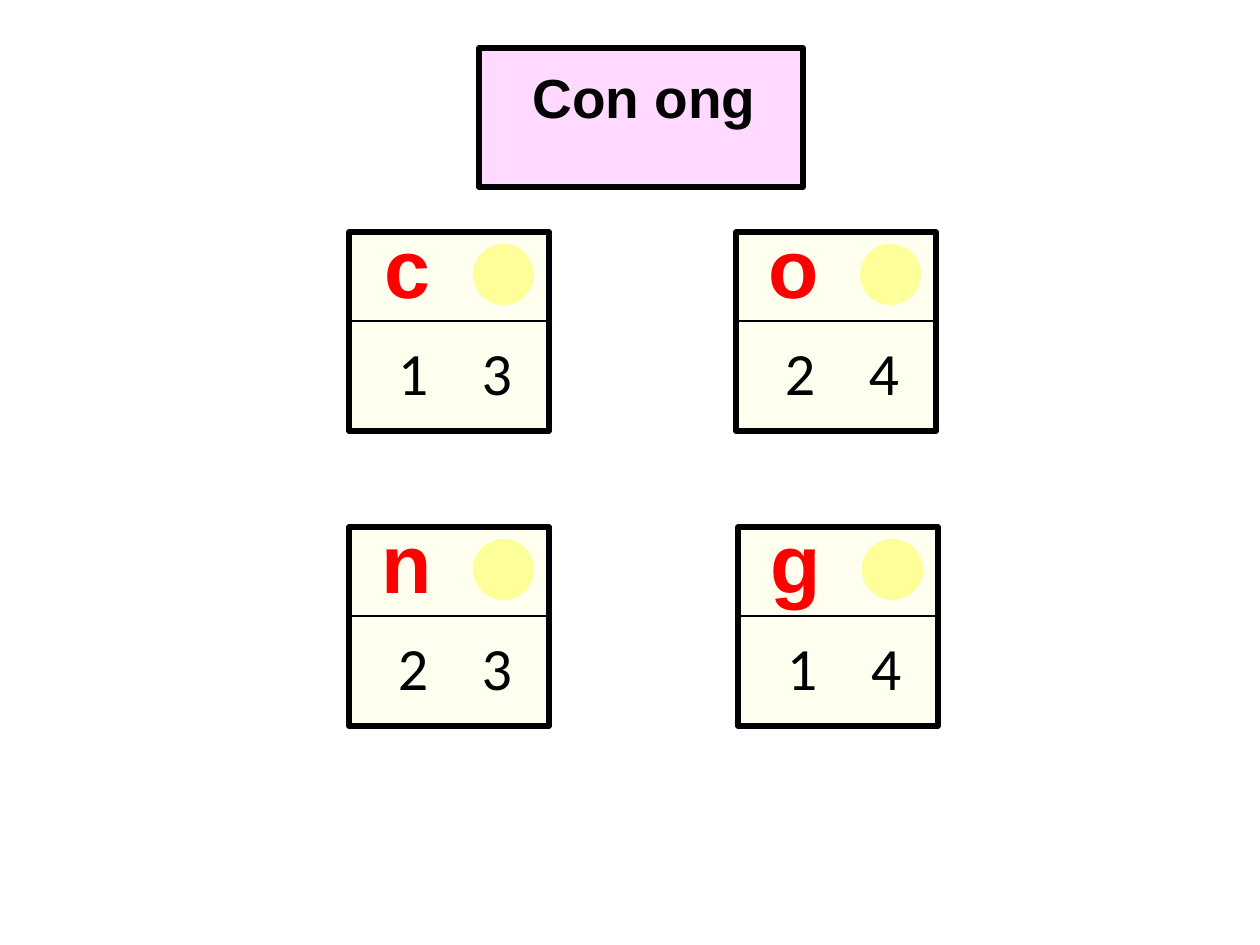
from lxml import etree
from pptx import Presentation
from pptx import util as u
from pptx.dml.color import RGBColor
from pptx.enum import shapes, text
from pptx.oxml.ns import qn

PX = 914400 // 90  # EMU per pixel

BLACK = RGBColor(0x00, 0x00, 0x00)
RED = RGBColor(0xFF, 0x00, 0x00)
PINK = RGBColor(0xFF, 0xD9, 0xFF)
CREAM = RGBColor(0xFE, 0xFF, 0xEF)
YELLOW = RGBColor(0xFF, 0xFF, 0x99)

RECT = shapes.MSO_SHAPE.RECTANGLE
OVAL = shapes.MSO_SHAPE.OVAL


class Board:
    """Draws the elements of the word game on one slide."""

    def __init__(self, slide):
        self.s = slide

    def shape(self, kind, x, y, w, h, fill, border=None):
        sp = self.s.shapes.add_shape(kind, x * PX, y * PX, w * PX, h * PX)
        sp.shadow.inherit = False
        sp.fill.solid()
        sp.fill.fore_color.rgb = fill
        if border:
            sp.line.color.rgb = BLACK
            sp.line.width = u.Pt(border)
        else:
            sp.line.fill.background()
        return sp

    def line(self, x1, x2, y):
        sp = self.s.shapes.add_connector(
            shapes.MSO_CONNECTOR.STRAIGHT, x1 * PX, y * PX, x2 * PX, y * PX)
        sp.line.color.rgb = BLACK
        sp.line.width = u.Pt(2.25)
        etree.SubElement(sp._element.spPr, qn("a:effectLst"))

    def set_text(self, sp, words, size, font, color, bold):
        tf = sp.text_frame
        tf.word_wrap = True
        tf.vertical_anchor = text.MSO_ANCHOR.TOP
        p = tf.paragraphs[0]
        p.text = words
        p.alignment = text.PP_ALIGN.CENTER
        p.font.size = u.Pt(size)
        p.font.name = font
        p.font.bold = bold
        p.font.color.rgb = color

    def label(self, x, y, w, h, words, size, font, color=BLACK, bold=False):
        sp = self.s.shapes.add_textbox(x * PX, y * PX, w * PX, h * PX)
        self.set_text(sp, words, size, font, color, bold)

    def title(self, words):
        self.shape(RECT, 479, 48, 324, 139, PINK, 4.5)
        sp = self.shape(RECT, 496, 59, 296, 76, PINK)
        self.set_text(sp, words, 44, "Arial", BLACK, True)

    def card(self, x, y, letter, digits):
        self.shape(RECT, x, y, 200, 199, CREAM, 4.5)
        self.line(x - 2, x + 203, y + 89)
        self.shape(OVAL, x + 124, y + 12, 61, 61, YELLOW)
        for i, digit in enumerate(digits):
            self.label(x + 32 + 84 * i, y + 99, 64, 82, digit, 48, "Calibri")
        self.label(x + 20, y - 20, 76, 109, letter, 66, "Arial", RED, True)


def main():
    prs = Presentation()
    prs.slide_width, prs.slide_height = u.Inches(14), u.Inches(10.5)
    board = Board(prs.slides.add_slide(prs.slide_layouts[6]))

    # Word to spell
    board.title("Con ong")

    # Letter cards with their digits
    for x, y, letter, digits in [
        (349, 232, "c", "13"),
        (736, 232, "o", "24"),
        (738, 527, "g", "14"),
        (349, 527, "n", "23"),
    ]:
        board.card(x, y, letter, digits)

    prs.save("out.pptx")


if __name__ == "__main__":
    main()
